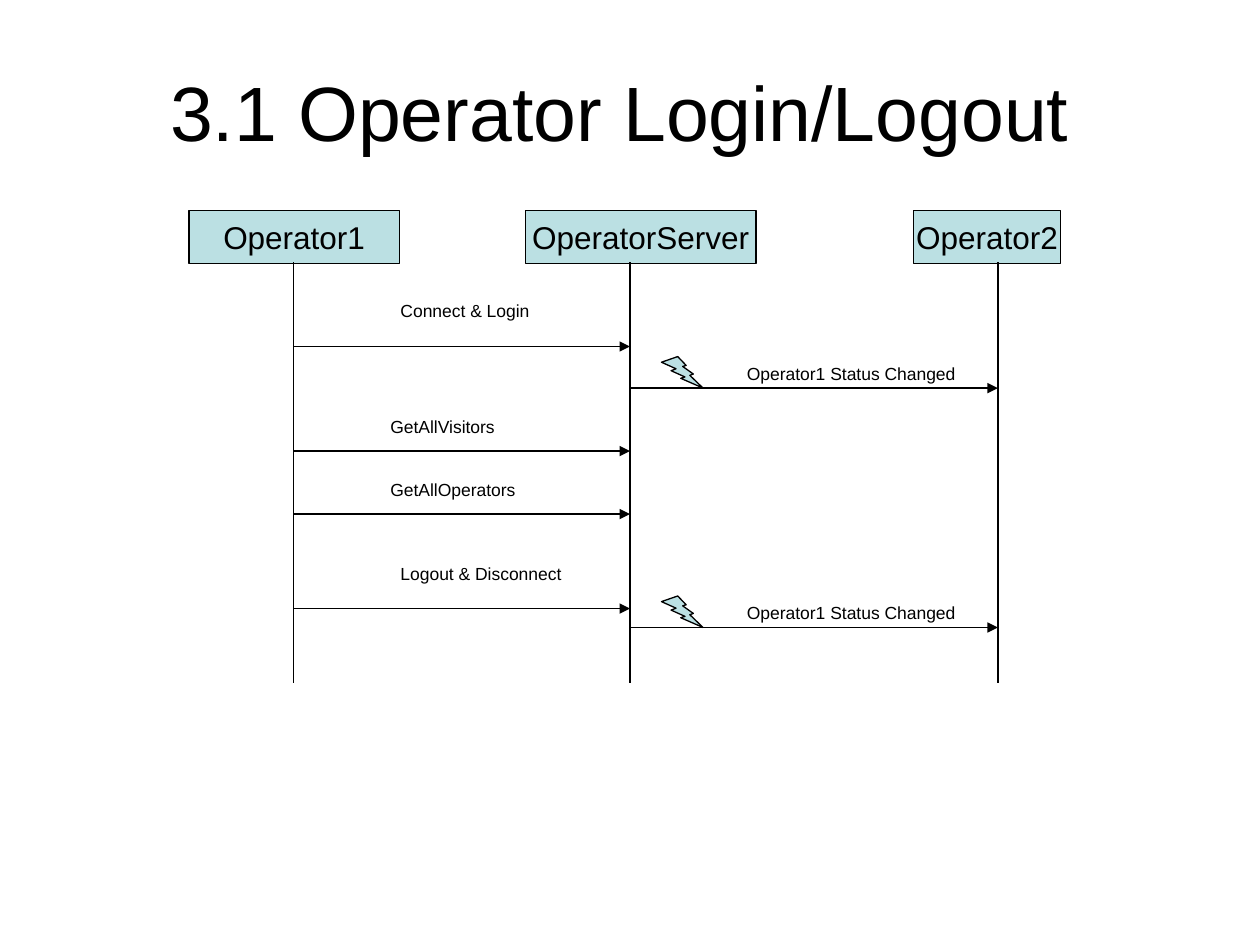
from dataclasses import dataclass

from lxml.etree import SubElement
from pptx import Presentation
from pptx.dml.color import RGBColor
from pptx.enum.shapes import MSO_CONNECTOR, MSO_SHAPE
from pptx.enum.text import MSO_ANCHOR, MSO_AUTO_SIZE, PP_ALIGN
from pptx.oxml.ns import qn
from pptx.util import Inches, Pt


@dataclass(frozen=True)
class Theme:
    """Colours, font and sizes of the sequence diagram."""
    font: str = "Arial"
    ink: RGBColor = RGBColor(0x00, 0x00, 0x00)
    accent: RGBColor = RGBColor(0xBB, 0xE0, 0xE3)
    title_size: int = 44
    participant_size: int = 18
    message_size: int = 10
    line_width: float = 0.74


THEME = Theme()
HEAD_TOP, HEAD_HEIGHT = 1.67, 0.42
LIFELINE_TOP, LIFELINE_BOTTOM = 2.08, 5.42
OPERATOR1_X, SERVER_X, OPERATOR2_X = 2.33, 5, 7.92
PARTICIPANTS = [
    ("Operator1", 1.5, 1.67, OPERATOR1_X, MSO_SHAPE.FLOWCHART_PROCESS),
    ("OperatorServer", 4.17, 1.83, SERVER_X, MSO_SHAPE.RECTANGLE),
    ("Operator2", 7.25, 1.17, OPERATOR2_X, MSO_SHAPE.RECTANGLE),
]
REQUESTS = [
    ("Connect & Login", 3.08, 2.33, 2.75),
    ("GetAllVisitors", 3, 3.25, 3.58),
    ("GetAllOperators", 3, 3.75, 4.08),
    ("Logout & Disconnect", 3.08, 4.42, 4.83),
]
EVENT_ARROWS = [3.08, 4.98]


def write(frame, text, size, align):
    """Put one styled paragraph into a text frame."""
    frame.text = text
    paragraph = frame.paragraphs[0]
    paragraph.alignment = align
    font = paragraph.runs[0].font
    font.name, font.size = THEME.font, Pt(size)
    font.color.rgb = THEME.ink


def add_title(slide, text):
    """Place and fill the title placeholder."""
    title = slide.shapes.title
    title.left, title.top = Inches(0.42), Inches(0.25)
    title.width, title.height = Inches(9), Inches(1.25)
    title.text_frame.vertical_anchor = MSO_ANCHOR.MIDDLE
    write(title.text_frame, text, THEME.title_size, PP_ALIGN.CENTER)


def add_outlined(slide, kind, left, top, width, height):
    """Add a preset shape in the diagram's fill and outline."""
    shape = slide.shapes.add_shape(
        kind, Inches(left), Inches(top), Inches(width), Inches(height))
    shape.shadow.inherit = False
    shape.fill.solid()
    shape.fill.fore_color.rgb = THEME.accent
    shape.line.color.rgb = THEME.ink
    shape.line.width = Pt(THEME.line_width)
    return shape


def add_line(slide, start, end, arrow=False):
    """Draw a straight line, optionally ending in an arrowhead."""
    line = slide.shapes.add_connector(
        MSO_CONNECTOR.STRAIGHT, *(Inches(value) for value in (*start, *end)))
    line.line.color.rgb = THEME.ink
    line.line.width = Pt(THEME.line_width)
    properties = line.line._get_or_add_ln()
    if arrow:
        SubElement(properties, qn("a:tailEnd"), type="triangle")
    SubElement(properties.getparent(), qn("a:effectLst"))


def add_participant(slide, name, left, width, lifeline_x, kind):
    """Add a participant's head and its lifeline."""
    head = add_outlined(slide, kind, left, HEAD_TOP, width, HEAD_HEIGHT)
    head.text_frame.word_wrap = False
    head.text_frame.vertical_anchor = MSO_ANCHOR.MIDDLE
    write(head.text_frame, name, THEME.participant_size, PP_ALIGN.CENTER)
    add_line(slide, (lifeline_x, LIFELINE_TOP), (lifeline_x, LIFELINE_BOTTOM))


def add_label(slide, text, left, top, width):
    """Add the caption of a message."""
    label = slide.shapes.add_textbox(
        Inches(left), Inches(top), Inches(width), Inches(0.27))
    label.text_frame.word_wrap = True
    label.text_frame.auto_size = MSO_AUTO_SIZE.SHAPE_TO_FIT_TEXT
    write(label.text_frame, text, THEME.message_size, PP_ALIGN.LEFT)


def add_request(slide, text, left, top, arrow_y):
    """Add a message from the first operator to the server."""
    add_line(slide, (OPERATOR1_X, arrow_y), (SERVER_X, arrow_y), arrow=True)
    add_label(slide, text, left, top, 1.52)


def add_status_event(slide, arrow_y):
    """Add a status event from the server to the second operator."""
    top = arrow_y - 0.25
    add_outlined(slide, MSO_SHAPE.LIGHTNING_BOLT, 5.25, top, 0.33, 0.25)
    add_label(slide, "Operator1 Status Changed", 5.83, top, 2.17)
    add_line(slide, (SERVER_X, arrow_y), (OPERATOR2_X, arrow_y), arrow=True)


def main():
    """Build the login and logout sequence slide."""
    deck = Presentation()
    deck.slide_width, deck.slide_height = Inches(10), Inches(7.5)
    slide = deck.slides.add_slide(deck.slide_layouts[5])
    add_title(slide, "3.1 Operator Login/Logout")
    for participant in PARTICIPANTS:
        add_participant(slide, *participant)
    for request in REQUESTS:
        add_request(slide, *request)
    for arrow_y in EVENT_ARROWS:
        add_status_event(slide, arrow_y)
    deck.save("out.pptx")


main()
